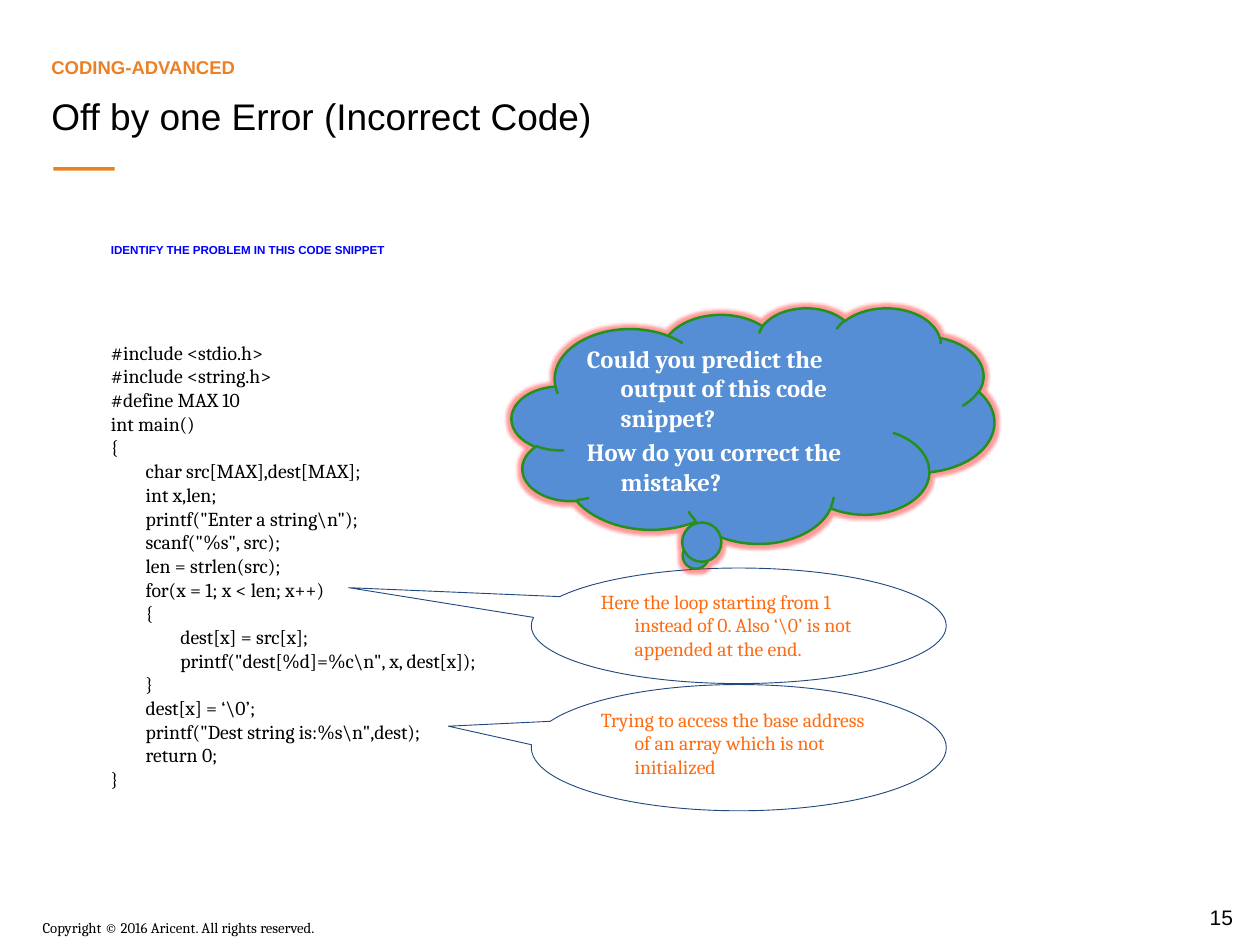
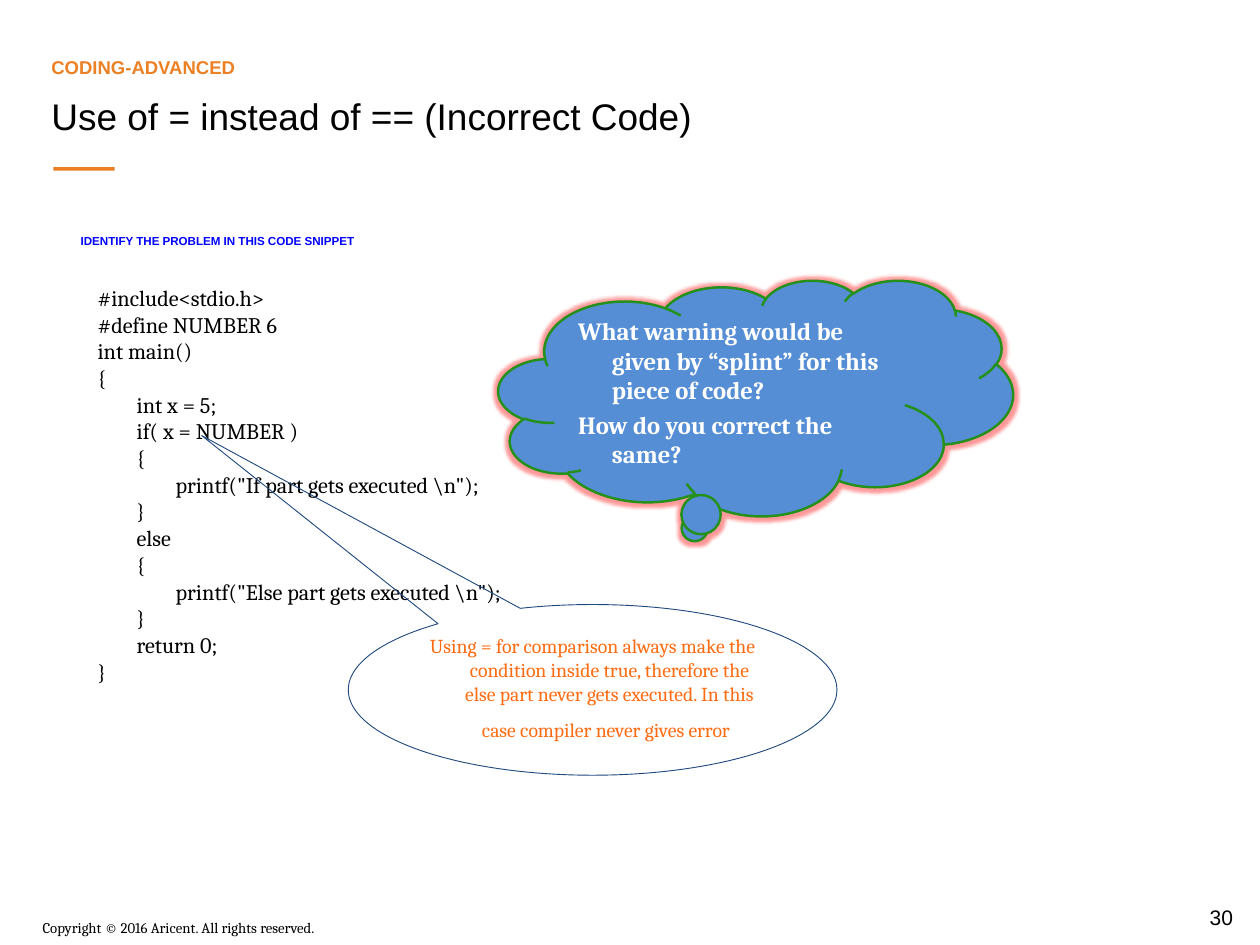
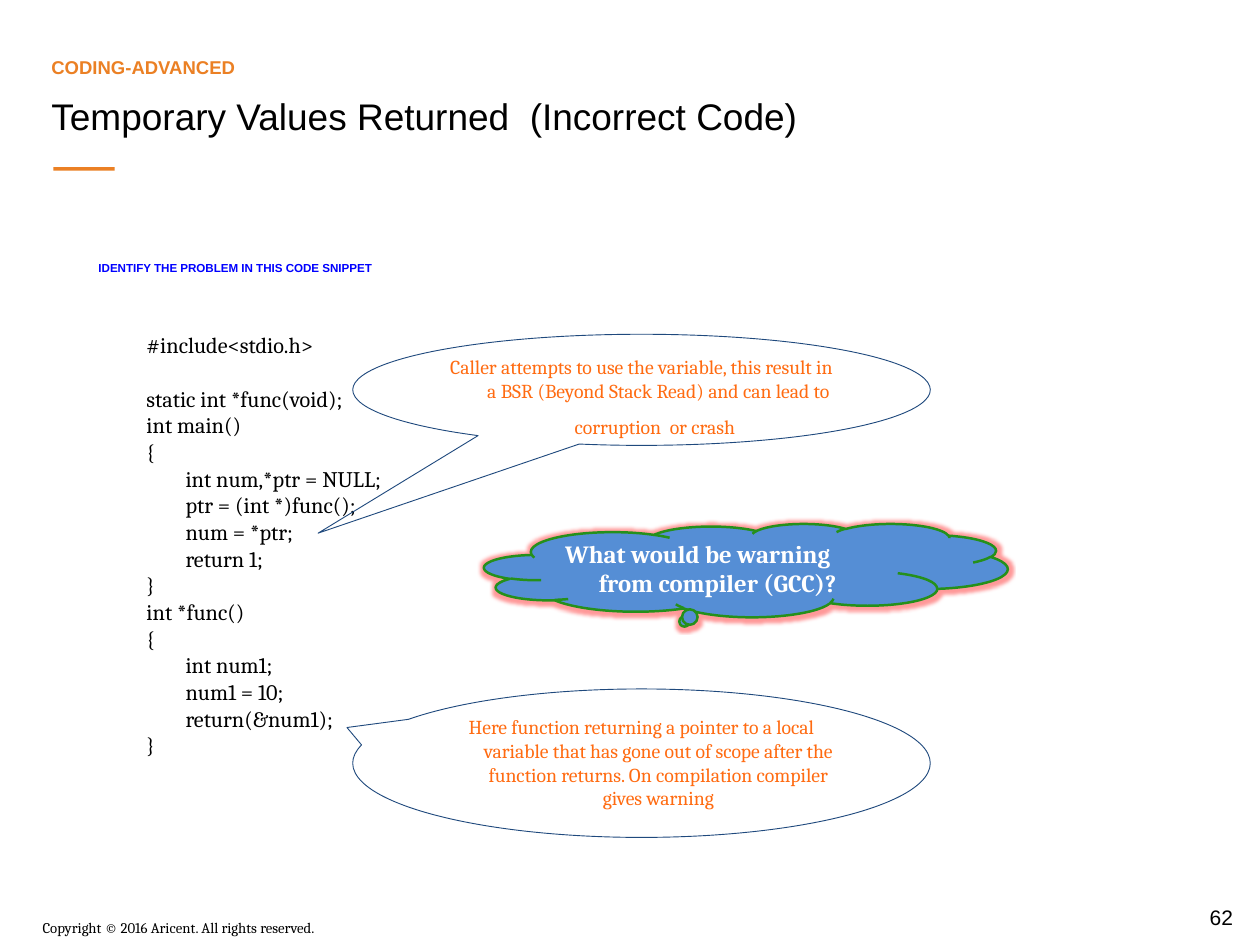
from lxml import etree
from pptx import Presentation
from pptx.dml.color import RGBColor
from pptx.enum import shapes, text
from pptx.oxml import ns
from pptx.util import Inches, Pt

BLACK = RGBColor(0x00, 0x00, 0x00)
WHITE = RGBColor(0xFF, 0xFF, 0xFF)
ORANGE = RGBColor(0xEB, 0x80, 0x24)
REMARK_ORANGE = RGBColor(0xFF, 0x6B, 0x11)
CAPTION_BLUE = RGBColor(0x00, 0x00, 0xFF)
NAVY = RGBColor(0x1F, 0x49, 0x7D)
CLOUD_BLUE = RGBColor(0x55, 0x8E, 0xD5)
CLOUD_GREEN = RGBColor(0x25, 0x90, 0x1B)
GLOW_RED = RGBColor(0xFF, 0x00, 0x00)

HEADING_FONT = "Arial"
BODY_FONT = "Cambria"

OFF_BY_ONE_CODE = r"""#include <stdio.h>
#include <string.h>
#define MAX 10
int main()
{
        char src[MAX],dest[MAX];
        int x,len;
        printf("Enter a string\n");
        scanf("%s", src);
        len = strlen(src);
        for(x = 1; x < len; x++)
        {
                dest[x] = src[x];
                printf("dest[%d]=%c\n", x, dest[x]);
        }
        dest[x] = ‘\0’;
        printf("Dest string is:%s\n",dest);
        return 0;
}"""

ASSIGNMENT_CODE = r"""#include<stdio.h>
#define NUMBER 6
int main()
{
        int x = 5;
        if( x = NUMBER )
        {
                printf("If part gets executed \n");
        }
        else
        {
                printf("Else part gets executed \n");
        }
        return 0;
}"""

TEMPORARY_CODE = r"""#include<stdio.h>

static int *func(void);
int main()
{
        int num,*ptr = NULL;
        ptr = (int *)func();
        num = *ptr;
        return 1;
}
int *func()
{
        int num1;
        num1 = 10;
        return(&num1);
}"""


def write(shape, content, *, size, color, font=BODY_FONT, bold=False,
          align=text.PP_ALIGN.LEFT, anchor=text.MSO_ANCHOR.TOP,
          hanging=0, gap=0, last_space=None):
    """Write one paragraph per line; a blank line becomes space before the next.

    last_space is the size of a closing space that makes the last line taller.
    """
    frame = shape.text_frame
    frame.word_wrap = True
    frame.vertical_anchor = anchor
    paragraph, blank_lines = None, 0
    for line in content.split("\n"):
        if not line:
            blank_lines += 1
            continue
        first = paragraph is None
        paragraph = frame.paragraphs[0] if first else frame.add_paragraph()
        paragraph.alignment = align
        if hanging:
            properties = paragraph._p.get_or_add_pPr()
            properties.set("marL", str(Inches(hanging)))
            properties.set("indent", str(-Inches(hanging)))
        if not first:
            paragraph.space_before = Pt(gap + blank_lines * 1.2 * size)
        blank_lines = 0
        run = paragraph.add_run()
        run.text = line
        run.font.name = font
        run.font.size = Pt(size)
        run.font.bold = bold
        run.font.color.rgb = color
    if last_space:
        run = paragraph.add_run()
        run.text = " "
        run.font.name = font
        run.font.size = Pt(last_space)


def add_glow(shape, color, radius, alpha):
    properties = shape._element.spPr
    effects = properties.find(ns.qn("a:effectLst"))
    glow = etree.SubElement(effects, ns.qn("a:glow"), rad=str(radius))
    tint = etree.SubElement(glow, ns.qn("a:srgbClr"), val=str(color))
    etree.SubElement(tint, ns.qn("a:alpha"), val=str(alpha * 1000))


class Deck:
    """Holds the presentation, its style and the current slide."""

    def __init__(self):
        self.presentation = Presentation()
        self.presentation.slide_width = Inches(14.18)
        self.presentation.slide_height = Inches(10.63)
        self.slide = None

    def new_slide(self, title, number):
        self.slide = self.presentation.slides.add_slide(
            self.presentation.slide_layouts[6])
        self.label((13.31, 10.12, 0.87, 0.39), str(number), size=17,
                   color=BLACK, font=HEADING_FONT,
                   align=text.PP_ALIGN.CENTER, anchor=text.MSO_ANCHOR.MIDDLE)
        self.preset(shapes.MSO_SHAPE.RECTANGLE, (0.6, 1.88, 0.69, 0.04),
                    fill=ORANGE)
        self.label((0.38, 10.28, 7.09, 0.3),
                   "Copyright © 2016 Aricent. All rights reserved.",
                   size=12, color=BLACK)
        self.label((0.48, 0.31, 11.13, 0.62), "CODING-ADVANCED", size=15,
                   color=ORANGE, font=HEADING_FONT, bold=True,
                   anchor=text.MSO_ANCHOR.BOTTOM)
        self.label((0.48, 1, 11.13, 0.85), title, size=30, color=BLACK,
                   font=HEADING_FONT)

    def label(self, box, content, **style):
        shape = self.slide.shapes.add_textbox(*map(Inches, box))
        write(shape, content, **style)

    def preset(self, kind, box, fill=None, line=None, line_width=0.75,
               adjustments=()):
        shape = self.slide.shapes.add_shape(kind, *map(Inches, box))
        shape.shadow.inherit = False
        if fill is None:
            shape.fill.background()
        else:
            shape.fill.solid()
            shape.fill.fore_color.rgb = fill
        if line is None:
            shape.line.fill.background()
        else:
            shape.line.color.rgb = line
            shape.line.width = Pt(line_width)
        for index, value in enumerate(adjustments):
            shape.adjustments[index] = value
        return shape

    def caption(self, box):
        self.label(box, "IDENTIFY THE PROBLEM IN THIS CODE SNIPPET", size=9.4,
                   color=CAPTION_BLUE, font=HEADING_FONT, bold=True,
                   anchor=text.MSO_ANCHOR.BOTTOM)

    def code(self, box, source, size=18):
        self.label(box, source, size=size, color=BLACK)

    def remark(self, box, pointer, content, **style):
        """Oval callout whose pointer is an offset in shares of its size."""
        shape = self.preset(shapes.MSO_SHAPE.OVAL_CALLOUT, box, line=NAVY,
                            adjustments=pointer)
        write(shape, content, size=16, color=REMARK_ORANGE, hanging=0.38,
              **style)

    def question(self, box, content):
        shape = self.preset(shapes.MSO_SHAPE.CLOUD_CALLOUT, box,
                            fill=CLOUD_BLUE, line=CLOUD_GREEN, line_width=2,
                            adjustments=(-0.12, 0.56))
        add_glow(shape, GLOW_RED, radius=Pt(5), alpha=40)
        write(shape, content, size=20, color=WHITE, bold=True, hanging=0.38,
              gap=4, anchor=text.MSO_ANCHOR.MIDDLE)


def main():
    deck = Deck()
    center = text.PP_ALIGN.CENTER

    deck.new_slide("Off by one Error (Incorrect Code)", 15)
    deck.caption((1.15, 2.36, 7.88, 0.58))
    deck.code((1.15, 3.78, 4.58, 5.18), OFF_BY_ONE_CODE, size=16)
    deck.remark((5.98, 7.7, 4.67, 1.42), (-0.7, -0.17),
                "Trying to access the base address of an array which is not "
                "initialized")
    deck.remark((5.98, 6.39, 4.67, 1.3), (-0.94, -0.33),
                r"Here the loop starting from 1 instead of 0. Also ‘\0’ is "
                "not appended at the end.")
    deck.question((5.76, 3.46, 5.43, 2.65),
                  "Could you predict the output of this code snippet?\n"
                  "How do you correct the mistake?")

    deck.new_slide("Use of = instead of == (Incorrect Code)", 30)
    deck.caption((0.81, 2.26, 8.06, 0.58))
    deck.code((1, 3.15, 5.33, 4.61), ASSIGNMENT_CODE)
    deck.remark((3.92, 6.8, 5.5, 1.92), (-0.8, -1.49),
                "Using = for comparison always make the condition inside "
                "true, therefore the else part never gets executed. In this "
                "case compiler never gives error",
                align=center, last_space=26)
    deck.question((5.61, 3.15, 5.79, 2.65),
                  "What warning would be given by “splint” for this piece of "
                  "code?\nHow do you correct the same?")

    deck.new_slide("Temporary Values Returned  (Incorrect Code)", 62)
    deck.caption((1.01, 2.31, 8.17, 0.83))
    deck.code((1.55, 3.68, 3.42, 4.91), TEMPORARY_CODE)
    deck.remark((3.97, 3.76, 6.5, 1.25), (-0.56, 1.29),
                "Caller attempts to use the variable, this result in a BSR "
                "(Beyond Stack Read) and can lead to corruption  or crash",
                align=center, last_space=26)
    deck.remark((3.97, 7.75, 6.5, 1.67), (-0.51, -0.24),
                "Here function returning a pointer to a local variable that "
                "has gone out of scope after the function returns. On "
                "compilation compiler gives warning", align=center)
    deck.question((5.45, 5.89, 5.89, 1.05),
                  "What would be warning from compiler (GCC)?")

    deck.presentation.save("out.pptx")


if __name__ == "__main__":
    main()
